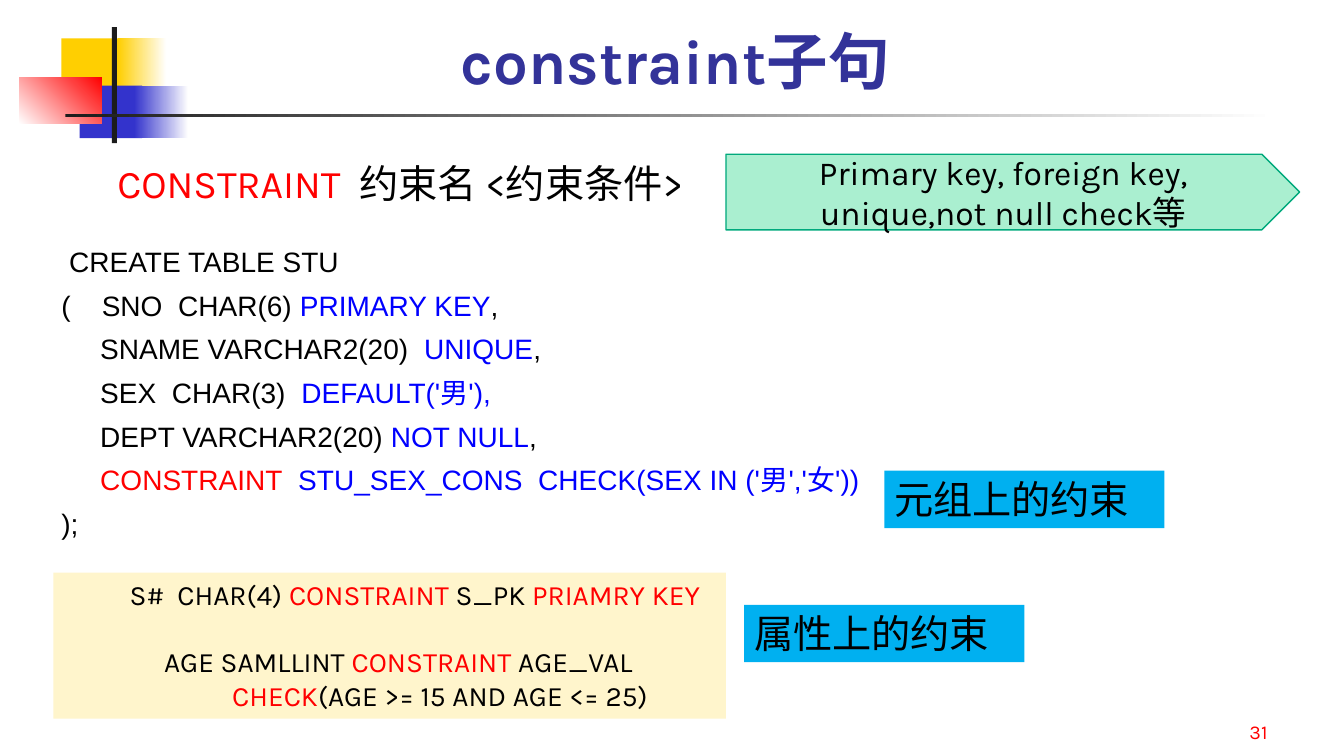
from pptx import Presentation
from pptx.dml.color import RGBColor
from pptx.enum.shapes import MSO_SHAPE
from pptx.enum.text import MSO_ANCHOR, MSO_AUTO_SIZE, PP_ALIGN
from pptx.util import Pt

PX = 9144  # EMU in one px, 100 px to the inch

BLACK = RGBColor(0, 0, 0)
WHITE = RGBColor(255, 255, 255)
RED = RGBColor(255, 0, 0)
BLUE = RGBColor(0, 0, 255)
NAVY = RGBColor(0x33, 0x33, 0x99)
INDIGO = RGBColor(0x33, 0x33, 0xCC)
GOLD = RGBColor(0xFF, 0xCF, 0x01)
INK = RGBColor(0x1C, 0x1C, 0x1C)
MINT = RGBColor(0xAA, 0xEF, 0xD0)
GREEN = RGBColor(0x00, 0xA9, 0x7C)
CREAM = RGBColor(0xFF, 0xF5, 0xCC)
SKY = RGBColor(0x00, 0xB0, 0xF0)

KARLA, ARIAL, NOTO = "Karla", "Arial", "Noto Sans CJK SC"


def scale(box):
    return [n * PX for n in box]


def shape(slide, box, fill, kind=MSO_SHAPE.RECTANGLE, line=None):
    item = slide.shapes.add_shape(kind, *scale(box))
    item.shadow.inherit = False
    item.fill.solid()
    item.fill.fore_color.rgb = fill
    if line:
        item.line.color.rgb = line
        item.line.width = Pt(1)
    else:
        item.line.fill.background()
    return item


def fade(slide, box, start, end, angle=0):
    item = shape(slide, box, start)
    item.fill.gradient()
    item.fill.gradient_angle = angle
    for stop, color in zip(item.fill.gradient_stops, (start, end)):
        stop.color.rgb = color


def write(item, paras, font, wrap=True, anchor=MSO_ANCHOR.TOP, fit=False):
    """Each paragraph is (format, margin, indent, runs of (text, color))."""
    frame = item.text_frame
    frame.word_wrap = wrap
    frame.vertical_anchor = anchor
    frame.auto_size = MSO_AUTO_SIZE.SHAPE_TO_FIT_TEXT if fit else MSO_AUTO_SIZE.NONE
    for i, (form, margin, indent, runs) in enumerate(paras):
        para = frame.add_paragraph() if i else frame.paragraphs[0]
        props = para._p.get_or_add_pPr()
        props.set("marL", str(margin * PX))
        props.set("indent", str(indent * PX))
        for key, value in form.items():
            setattr(para, key, value)
        for text, color in runs:
            run = para.add_run()
            run.text = text
            run.font.color.rgb = color
            for key, value in font.items():
                setattr(run.font, key, value)


def label(slide, box, paras, font, **opts):
    item = slide.shapes.add_textbox(*scale(box))
    write(item, paras, font, **opts)


LEFT = {"alignment": PP_ALIGN.LEFT}
MID = {"alignment": PP_ALIGN.CENTER}
RIGHT = {"alignment": PP_ALIGN.RIGHT}


def emblem(slide, box):
    x, y, wide, high = box
    # Yellow and blue blocks, each fading to the right
    for dx, dy, w, fx, fw, color in ((42, 11, 64, 98, 48, GOLD),
                                     (60, 58, 62, 114, 54, INDIGO)):
        shape(slide, (x + dx, y + dy, w, 52), color)
        fade(slide, (x + fx, y + dy, fw, 52), color, WHITE)
    # Red block, upright bar and long rule
    fade(slide, (x, y + 50, 82, 46), WHITE, RED, 45)
    shape(slide, (x + 92, y, 5, high), INK)
    fade(slide, (x + 46, y + 86, wide - 46, 3), INK, WHITE)


def title(slide, box):
    label(slide, box, [(MID, 0, 0, [("constraint子句", NAVY)])],
          {"name": KARLA, "size": Pt(44), "bold": True})


def syntax(slide, box):
    x, y, wide, high = box
    # Clause pattern
    runs = [("CONSTRAINT  ", RED), ("约束名 <约束条件>", BLACK)]
    label(slide, (x, y, 674, 57), [(MID, 50, 0, runs)],
          {"name": KARLA, "size": Pt(28)}, wrap=False, fit=True)
    # Arrow with the kinds of condition
    arrow = shape(slide, (x + 685, y, wide - 685, high), MINT,
                  MSO_SHAPE.PENTAGON, GREEN)
    text = "Primary key, foreign key, unique,not null check等"
    write(arrow, [(MID, 0, 0, [(text, BLACK)])],
          {"name": KARLA, "size": Pt(24)}, anchor=MSO_ANCHOR.MIDDLE)


def code(slide, box):
    lines = [
        [(" CREATE TABLE STU", BLACK)],
        [("(    SNO  CHAR(6) ", BLACK), ("PRIMARY KEY", BLUE), (",", BLACK)],
        [("     SNAME VARCHAR2(20)  ", BLACK), ("UNIQUE", BLUE), (",", BLACK)],
        [("     SEX  CHAR(3)  ", BLACK), ("DEFAULT('男'),", BLUE)],
        [("     DEPT VARCHAR2(20) ", BLACK), ("NOT NULL", BLUE), (",", BLACK)],
        [("     CONSTRAINT", RED),
         ("  STU_SEX_CONS  CHECK(SEX IN ('男','女'))", BLUE)],
        [(");", BLACK)],
    ]
    paras = [({"line_spacing": 1.05, "space_before": Pt(6 if i else 0)},
              67, -67, runs) for i, runs in enumerate(lines)]
    label(slide, box, paras, {"name": ARIAL, "size": Pt(20)})


def sample(slide, box):
    paras = [
        (MID, 50, 0, [("S#  CHAR(4) ", BLACK), ("CONSTRAINT", RED),
                      (" S_PK ", BLACK), ("PRIAMRY KEY", RED)]),
        ({**LEFT, "space_before": Pt(24)}, 100, 0,
         [("AGE SAMLLINT ", BLACK), ("CONSTRAINT", RED), (" AGE_VAL", BLACK)]),
        (MID, 100, 0, [("CHECK", RED), ("(AGE >= 15 AND AGE <= 25)", BLACK)]),
    ]
    write(shape(slide, box, CREAM), paras,
          {"name": KARLA, "size": Pt(20)}, fit=True)


def tag(slide, box, text):
    write(shape(slide, box, SKY), [(LEFT, 0, 0, [(text, BLACK)])],
          {"name": NOTO, "size": Pt(28)}, fit=True)


def number(slide, box):
    label(slide, box, [(RIGHT, 0, 0, [("31", RED)])],
          {"name": KARLA, "size": Pt(14)}, anchor=MSO_ANCHOR.BOTTOM)


def main():
    deck = Presentation()
    deck.slide_width, deck.slide_height = scale((1333, 750))
    slide = deck.slides.add_slide(deck.slide_layouts[6])
    emblem(slide, (19, 27, 1246, 115))
    number(slide, (989, 692, 278, 50))
    title(slide, (51, 18, 1238, 93))
    syntax(slide, (35, 153, 1254, 75))
    # The code lies over the sample, so its last line stays whole
    sample(slide, (53, 568, 667, 145))
    code(slide, (51, 236, 825, 323))
    tag(slide, (877, 467, 278, 57), "元组上的约束")
    tag(slide, (738, 600, 278, 57), "属性上的约束")
    deck.save("out.pptx")


if __name__ == "__main__":
    main()
